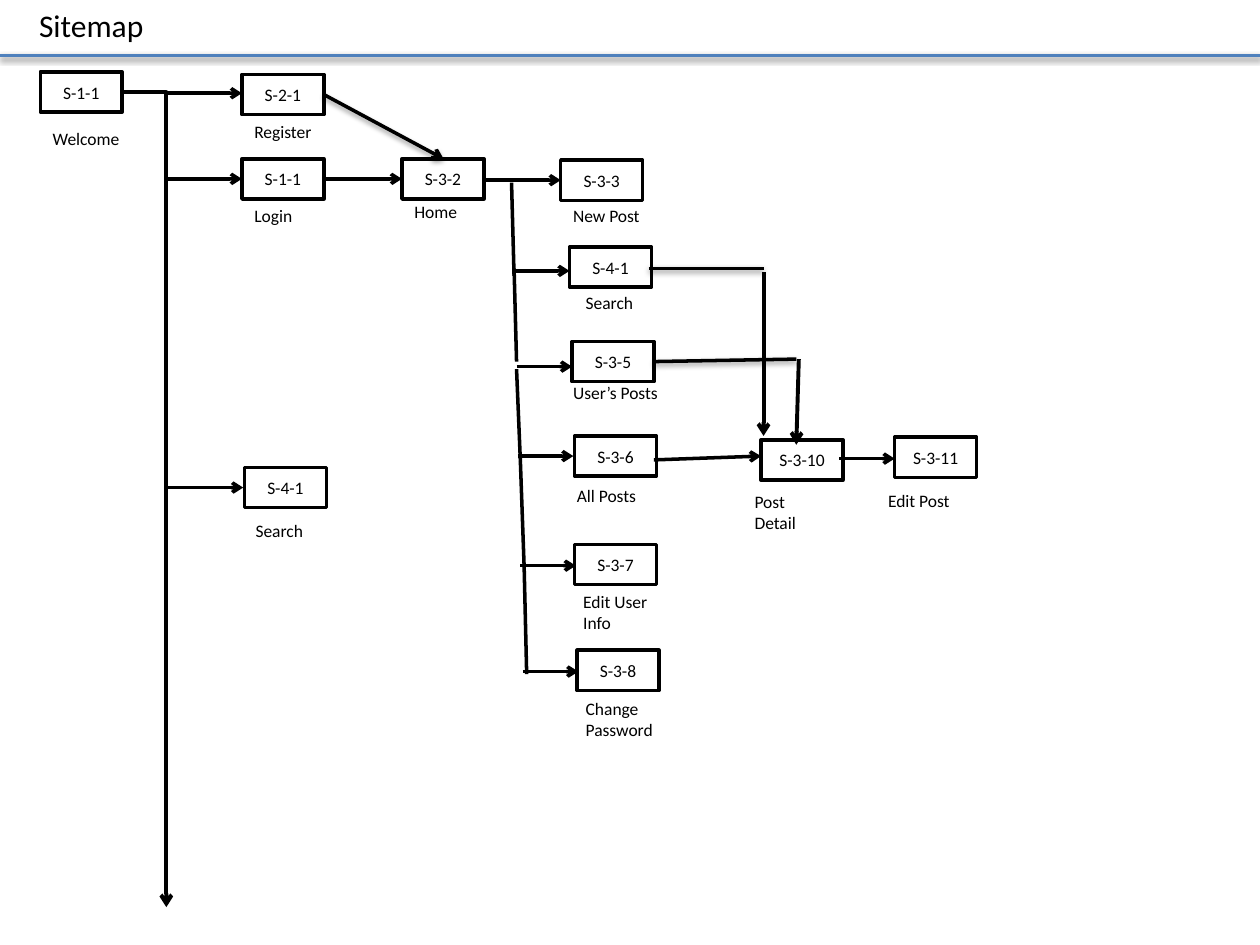
from typing import NamedTuple

from lxml.etree import SubElement
from pptx import Presentation
from pptx.dml.color import RGBColor
from pptx.enum.shapes import MSO_CONNECTOR, MSO_SHAPE
from pptx.enum.text import MSO_ANCHOR, MSO_AUTO_SIZE, PP_ALIGN
from pptx.oxml.ns import qn
from pptx.util import Inches, Pt

BLACK = RGBColor(0x00, 0x00, 0x00)
WHITE = RGBColor(0xFF, 0xFF, 0xFF)
BLUE = RGBColor(0x4F, 0x81, 0xBD)
FONT = "Calibri"
BOX_W, BOX_H = 0.65, 0.32
ROW_H = 0.27


class Page(NamedTuple):
    """A page box and the label below it, in inches."""
    code: str
    left: float
    top: float
    name: str
    name_left: float
    name_top: float
    name_w: float
    wrap: bool = False
    name_h: float = ROW_H


class Link(NamedTuple):
    """A line between two points, in inches, with its style."""
    x1: float
    y1: float
    x2: float
    y2: float
    arrow: bool = True
    shade: bool = False
    width: float = 2
    color: RGBColor = BLACK
    bent: bool = False


PAGES = [
    Page("S-1-1", 0.32, 0.57, "Welcome", 0.32, 0.97, 0.74),
    Page("S-2-1", 1.92, 0.59, "Register", 1.92, 0.91, 0.68),
    Page("S-1-1", 1.92, 1.26, "Login", 1.92, 1.58, 0.51),
    Page("S-4-1", 1.94, 3.71, "Search", 1.93, 4.08, 0.59),
    Page("S-3-2", 3.19, 1.26, "Home", 3.19, 1.55, 0.55),
    Page("S-3-3", 4.45, 1.27, "New Post", 4.45, 1.58, 0.74),
    Page("S-4-1", 4.52, 1.96, "Search", 4.55, 2.27, 0.59),
    Page("S-3-5", 4.54, 2.71, "User’s Posts", 4.45, 2.98, 1.25, True),
    Page("S-3-6", 4.56, 3.46, "All Posts", 4.48, 3.8, 0.71, True),
    Page("S-3-7", 4.56, 4.32, "Edit User Info", 4.53, 4.64, 0.85, True, 0.44),
    Page("S-3-8", 4.58, 5.16, "Change Password", 4.55, 5.49, 0.85, True, 0.44),
    Page("S-3-10", 6.04, 3.49, "Post Detail", 5.89, 3.85, 0.79),
    Page("S-3-11", 7.1, 3.47, "Edit Post", 6.95, 3.84, 0.7),
]

TRUNK = [(4.06, 1.45, 4.08, 2.19), (4.08, 2.13, 4.1, 2.87),
         (4.1, 2.93, 4.13, 3.66), (4.13, 3.66, 4.16, 4.5),
         (4.16, 4.5, 4.18, 5.35)]
STEPS = [(1.31, 0.74, 0.61), (1.31, 1.42, 0.61), (1.32, 3.87, 0.61),
         (2.58, 1.42, 0.61), (3.84, 1.43, 0.61), (4.08, 2.15, 0.44),
         (4.1, 2.91, 0.44), (4.11, 3.62, 0.44), (4.13, 4.49, 0.44),
         (4.15, 5.33, 0.44), (6.66, 3.64, 0.44)]

LINKS = [
    Link(0, 0.44, 10, 0.44, arrow=False, shade=True, color=BLUE),
    Link(0.97, 0.73, 1.32, 7.2, width=2.25, bent=True),
    *(Link(*ends, arrow=False) for ends in TRUNK),
    *(Link(x, y, x + step, y) for x, y, step in STEPS),
    Link(5.19, 3.65, 6.04, 3.62),
    Link(6.34, 2.85, 6.32, 3.53, width=2.25),
    Link(5.19, 2.87, 6.32, 2.85, arrow=False, shade=True),
    Link(5.15, 2.13, 6.06, 2.13, arrow=False, shade=True),
    Link(6.06, 2.16, 6.06, 3.46, width=2.25),
    Link(2.57, 0.75, 3.52, 1.26, shade=True),
]


def put_text(shape, text: str, *, size: float = 10, wrap: bool = True,
             align=PP_ALIGN.LEFT, anchor=MSO_ANCHOR.TOP,
             fit=MSO_AUTO_SIZE.NONE) -> None:
    """Write text into a shape and format it."""
    frame = shape.text_frame
    frame.text = text
    frame.word_wrap = wrap
    frame.auto_size = fit
    frame.vertical_anchor = anchor
    line = frame.paragraphs[0]
    line.alignment = align
    font = line.runs[0].font
    font.name, font.size = FONT, Pt(size)
    font.color.rgb = BLACK


def draw_page(slide, page: Page) -> None:
    """Draw a page box with its code, and its label."""
    box = slide.shapes.add_shape(
        MSO_SHAPE.RECTANGLE, Inches(page.left), Inches(page.top),
        Inches(BOX_W), Inches(BOX_H))
    box.shadow.inherit = False
    box.fill.solid()
    box.fill.fore_color.rgb = WHITE
    box.line.color.rgb = BLACK
    box.line.width = Pt(2)
    put_text(box, page.code, align=PP_ALIGN.CENTER, anchor=MSO_ANCHOR.MIDDLE)
    label = slide.shapes.add_textbox(
        Inches(page.name_left), Inches(page.name_top),
        Inches(page.name_w), Inches(page.name_h))
    put_text(label, page.name, wrap=page.wrap,
             fit=MSO_AUTO_SIZE.SHAPE_TO_FIT_TEXT)


def draw_link(slide, link: Link) -> None:
    """Draw a line with its arrowhead and shadow, if any."""
    kind = MSO_CONNECTOR.ELBOW if link.bent else MSO_CONNECTOR.STRAIGHT
    line = slide.shapes.add_connector(
        kind, Inches(link.x1), Inches(link.y1),
        Inches(link.x2), Inches(link.y2))
    line.line.color.rgb = link.color
    line.line.width = Pt(link.width)
    props = line._element.spPr
    if link.bent:
        props.find(qn("a:prstGeom")).set("prst", "bentConnector2")
    if link.arrow:
        SubElement(props.find(qn("a:ln")), qn("a:tailEnd"), type="arrow")
    effects = SubElement(props, qn("a:effectLst"))
    if link.shade:
        shade = SubElement(effects, qn("a:outerShdw"), blurRad=str(Pt(3.1)),
                           dist=str(Pt(1.6)), dir="5400000", rotWithShape="0")
        tint = SubElement(shade, qn("a:srgbClr"), val=str(BLACK))
        SubElement(tint, qn("a:alpha"), val="38000")


def main() -> None:
    """Build the sitemap slide."""
    deck = Presentation()
    deck.slide_width, deck.slide_height = Inches(10), Inches(7.5)
    slide = deck.slides.add_slide(deck.slide_layouts[5])
    title = slide.shapes.title
    title.left, title.top = Inches(0.21), Inches(0)
    title.width, title.height = Inches(1.04), Inches(0.4)
    put_text(title, "Sitemap", size=18, wrap=False,
             fit=MSO_AUTO_SIZE.SHAPE_TO_FIT_TEXT)
    for page in PAGES:
        draw_page(slide, page)
    for link in LINKS:
        draw_link(slide, link)
    deck.save("out.pptx")


main()
